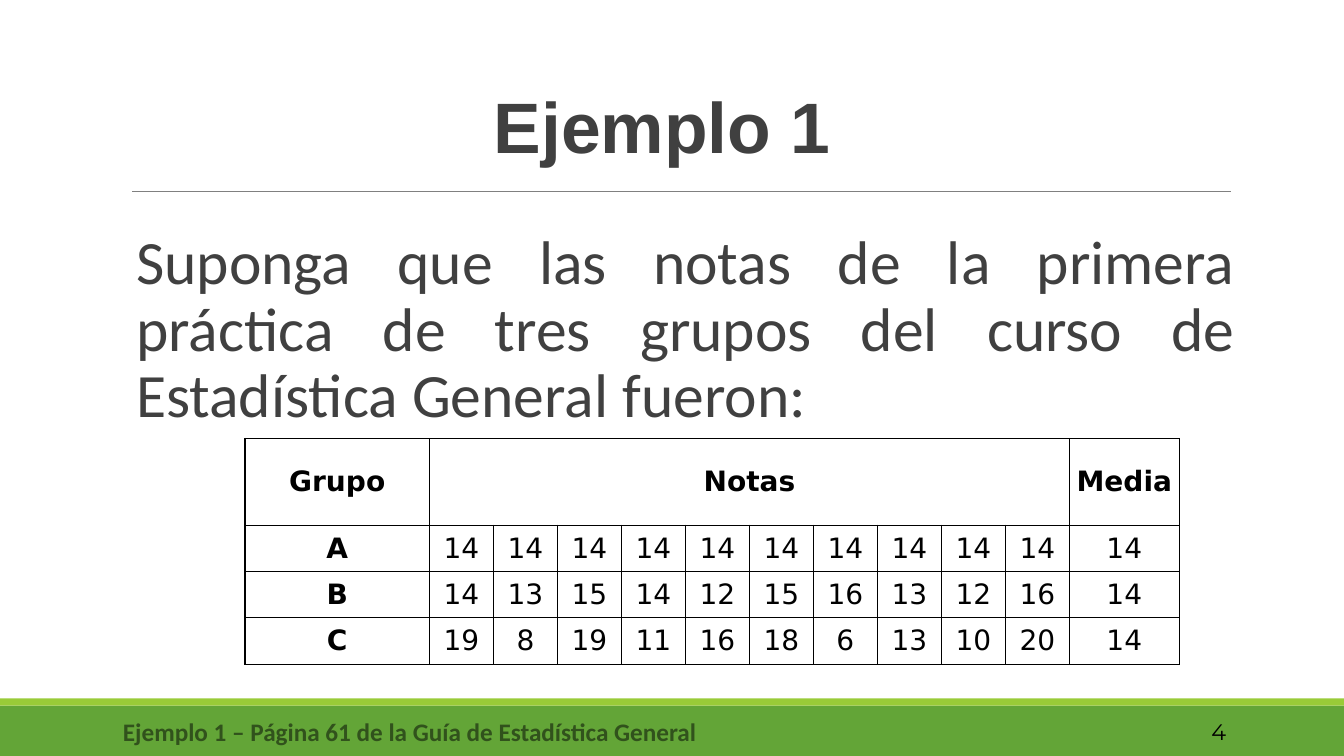
from lxml import etree
from pptx import Presentation
from pptx.dml.color import RGBColor
from pptx.enum.shapes import MSO_CONNECTOR as Connector, MSO_SHAPE as Shape
from pptx.enum.text import MSO_ANCHOR as Anchor, PP_ALIGN as Align
from pptx.oxml.ns import qn
from pptx.util import Inches, Pt

COLORS = {
    "band": "63A537",
    "stripe": "99CB38",
    "rule": "808080",
    "text": "404040",
    "footer": "31521C",
    "black": "000000",
}
TABLE_FONT = "DejaVu Sans"
GRADES = {
    "A": [14, 14, 14, 14, 14, 14, 14, 14, 14, 14],
    "B": [14, 13, 15, 14, 12, 15, 16, 13, 12, 16],
    "C": [19, 8, 19, 11, 16, 18, 6, 13, 10, 20],
}
MEAN = 14


def color(name):
    return RGBColor.from_string(COLORS[name])


def add_bar(page, top, height, fill):
    bar = page.shapes.add_shape(
        Shape.RECTANGLE, 0, Inches(top), Inches(13.33), Inches(height))
    bar.shadow.inherit = False
    bar.fill.solid()
    bar.fill.fore_color.rgb = color(fill)
    bar.line.fill.background()


def add_rule(page, left, right, top):
    rule = page.shapes.add_connector(
        Connector.STRAIGHT, Inches(left), Inches(top), Inches(right), Inches(top))
    rule.line.color.rgb = color("rule")
    rule.line.width = Pt(0.5)
    etree.SubElement(rule.element.spPr, qn("a:effectLst"))


def write(frame, text, font, size, ink, align, bold=False):
    para = frame.paragraphs[0]
    para.alignment = align
    span = para.add_run()
    span.text = text
    span.font.name = font
    span.font.size = Pt(size)
    span.font.bold = bold
    span.font.color.rgb = color(ink)
    return para


def add_text(page, place, text, font, size, ink, align, bold=False,
             anchor=Anchor.MIDDLE):
    box = page.shapes.add_textbox(*map(Inches, place))
    frame = box.text_frame
    frame.word_wrap = True
    frame.vertical_anchor = anchor
    write(frame, text, font, size, ink, align, bold)
    return frame


def add_content(page, place, text, font, size, align, bold=False, inset=0):
    frame = add_text(page, place, text, font, size, "text", align, bold, Anchor.TOP)
    frame.margin_left = Inches(inset)
    frame.margin_right = 0
    para = frame.paragraphs[0]
    para.line_spacing = 0.9
    para.space_before = Pt(12)
    para.space_after = Pt(2)


def add_borders(cell):
    properties = cell._tc.get_or_add_tcPr()
    for position, side in enumerate(("lnL", "lnR", "lnT", "lnB")):
        border = etree.Element(qn(f"a:{side}"), w=str(Pt(1)))
        fill = etree.SubElement(border, qn("a:solidFill"))
        etree.SubElement(fill, qn("a:srgbClr"), val=COLORS["black"])
        properties.insert(position, border)


def fill_cell(cell, text, bold):
    cell.fill.background()
    cell.vertical_anchor = Anchor.MIDDLE
    cell.margin_left = cell.margin_right = Inches(0.05)
    cell.margin_top = cell.margin_bottom = 0
    add_borders(cell)
    if text:
        write(cell.text_frame, text, TABLE_FONT, 20, "black", Align.CENTER, bold)


def add_grades(page):
    widths = [1.83] + [0.635] * 10 + [1.09]
    heights = [0.86] + [0.46] * len(GRADES)
    rows = [["Grupo", "Notas"] + [""] * 9 + ["Media"]]
    rows += [[group, *map(str, grades), str(MEAN)] for group, grades in GRADES.items()]
    table = page.shapes.add_table(
        len(rows), len(widths), Inches(2.43), Inches(4.35),
        Inches(sum(widths)), Inches(sum(heights))).table
    for column, width in zip(table.columns, widths):
        column.width = Inches(width)
    for row, height in zip(table.rows, heights):
        row.height = Inches(height)
    for r, texts in enumerate(rows):
        for c, text in enumerate(texts):
            fill_cell(table.cell(r, c), text, bold=r == 0 or c == 0)
    table.cell(0, 1).merge(table.cell(0, 10))


def main():
    deck = Presentation()
    deck.slide_width = Inches(13.33)
    deck.slide_height = Inches(7.5)
    page = deck.slides.add_slide(deck.slide_layouts[6])

    # Background bands and title rule
    add_bar(page, 7, 0.5, "band")
    add_bar(page, 6.93, 0.07, "stripe")
    add_rule(page, 1.31, 12.21, 1.9)

    # Title and statement
    add_content(page, (1.41, 0.86, 10.14, 0.89), "Ejemplo 1", "Arial", 51,
                Align.CENTER, bold=True, inset=0.18)
    add_content(page, (1.35, 2.25, 10.91, 4.33),
                "Suponga que las notas de la primera práctica de tres grupos "
                "del curso de Estadística General fueron:",
                "Calibri", 44, Align.JUSTIFY)

    # Grades by group
    add_grades(page)

    # Footer and page number
    add_text(page, (1.07, 7.06, 5.99, 0.4),
             "Ejemplo 1 – Página 61 de la Guía de Estadística General",
             "Calibri", 18, "footer", Align.CENTER, bold=True)
    add_text(page, (10.83, 7.06, 1.43, 0.4), "4", "Montserrat", 16, "black",
             Align.RIGHT)

    deck.save("out.pptx")


if __name__ == "__main__":
    main()
